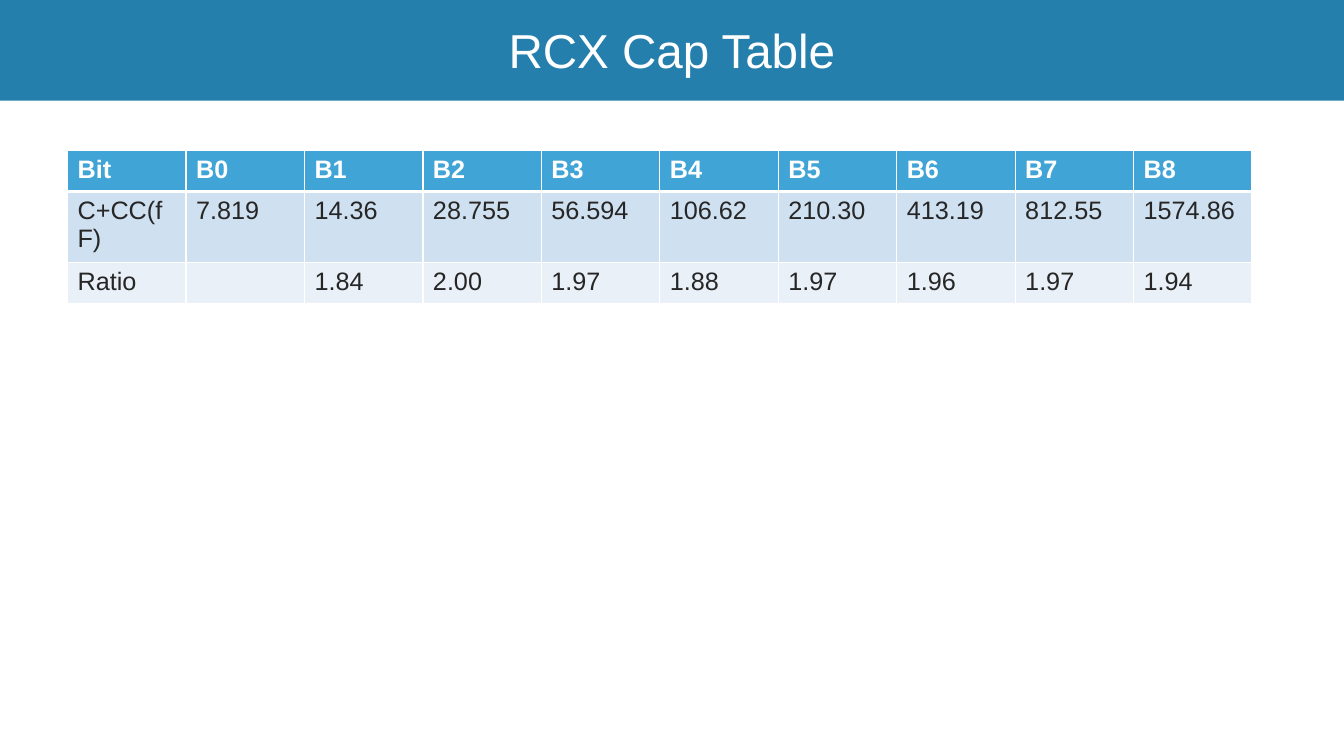
from lxml import etree
from pptx import Presentation
from pptx.dml.color import RGBColor
from pptx.enum.shapes import MSO_SHAPE
from pptx.enum.text import MSO_ANCHOR, PP_ALIGN
from pptx.oxml.ns import qn
from pptx.util import Inches, Pt

RECT = MSO_SHAPE.RECTANGLE
MIDDLE = MSO_ANCHOR.MIDDLE
CENTER = PP_ALIGN.CENTER

WHITE, INK = "FFFFFF", "262626"
BANNER, HEADER = "257FAC", "41A4D6"
BANDS = ["CFE0F0", "E9F0F7"]

CAP_ROWS = [
    ["Bit"] + [f"B{i}" for i in range(9)],
    ["C+CC(fF)", "7.819", "14.36", "28.755", "56.594", "106.62",
     "210.30", "413.19", "812.55", "1574.86"],
    ["Ratio", "", "1.84", "2.00", "1.97", "1.88", "1.97", "1.96", "1.97", "1.94"],
]


def rgb(color):
    return RGBColor.from_string(color)


class SlideBuilder:
    """Holds the font and the slide being drawn."""

    def __init__(self, s, font="Arial"):
        self.s = s
        self.font = font

    def run(self, p, text, size, color, bold=False):
        r = p.add_run()
        r.text = text
        r.font.name = self.font
        r.font.size = Pt(size)
        r.font.bold = bold
        r.font.color.rgb = rgb(color)

    def rect(self, x, y, w, h, fill):
        sp = self.s.shapes.add_shape(RECT, Inches(x), Inches(y), Inches(w), Inches(h))
        sp.shadow.inherit = False
        sp.fill.solid()
        sp.fill.fore_color.rgb = rgb(fill)
        sp.line.fill.background()

    def title(self, x, y, w, h, text):
        sp = self.s.shapes.add_textbox(Inches(x), Inches(y), Inches(w), Inches(h))
        tf = sp.text_frame
        tf.word_wrap = True
        tf.vertical_anchor = MIDDLE
        tf.margin_left = tf.margin_right = tf.margin_top = tf.margin_bottom = 0
        p = tf.paragraphs[0]
        p.alignment = CENTER
        self.run(p, text, 34, WHITE)

    def borders(self, cell, bottom):
        """Draw white edges, 1 pt wide except for the bottom one."""
        tc_pr = cell._tc.get_or_add_tcPr()
        for side, width in (("L", 1), ("R", 1), ("T", 1), ("B", bottom)):
            ln = etree.SubElement(tc_pr, qn(f"a:ln{side}"), w=str(Pt(width)))
            fill = etree.SubElement(ln, qn("a:solidFill"))
            etree.SubElement(fill, qn("a:srgbClr"), val=WHITE)

    def table(self, x, y, w, row_h, rows):
        table = self.s.shapes.add_table(
            len(rows), len(rows[0]), Inches(x), Inches(y),
            Inches(w), Inches(row_h * len(rows))).table
        for i, row in enumerate(rows):
            head = i == 0
            for j, text in enumerate(row):
                cell = table.cell(i, j)
                self.borders(cell, 3 if head else 1)
                cell.fill.solid()
                cell.fill.fore_color.rgb = rgb(HEADER if head else BANDS[(i - 1) % 2])
                if text:
                    self.run(cell.text_frame.paragraphs[0], text, 18,
                             WHITE if head else INK, bold=head)


def main():
    prs = Presentation()
    prs.slide_width, prs.slide_height = Inches(13.33), Inches(7.5)
    slide = SlideBuilder(prs.slides.add_slide(prs.slide_layouts[6]))
    slide.rect(0, 0, 13.33, 1, BANNER)
    slide.title(1.55, 0.06, 10.23, 0.87, "RCX Cap Table")
    slide.table(0.67, 1.49, 11.75, 0.41, CAP_ROWS)
    prs.save("out.pptx")


if __name__ == "__main__":
    main()
